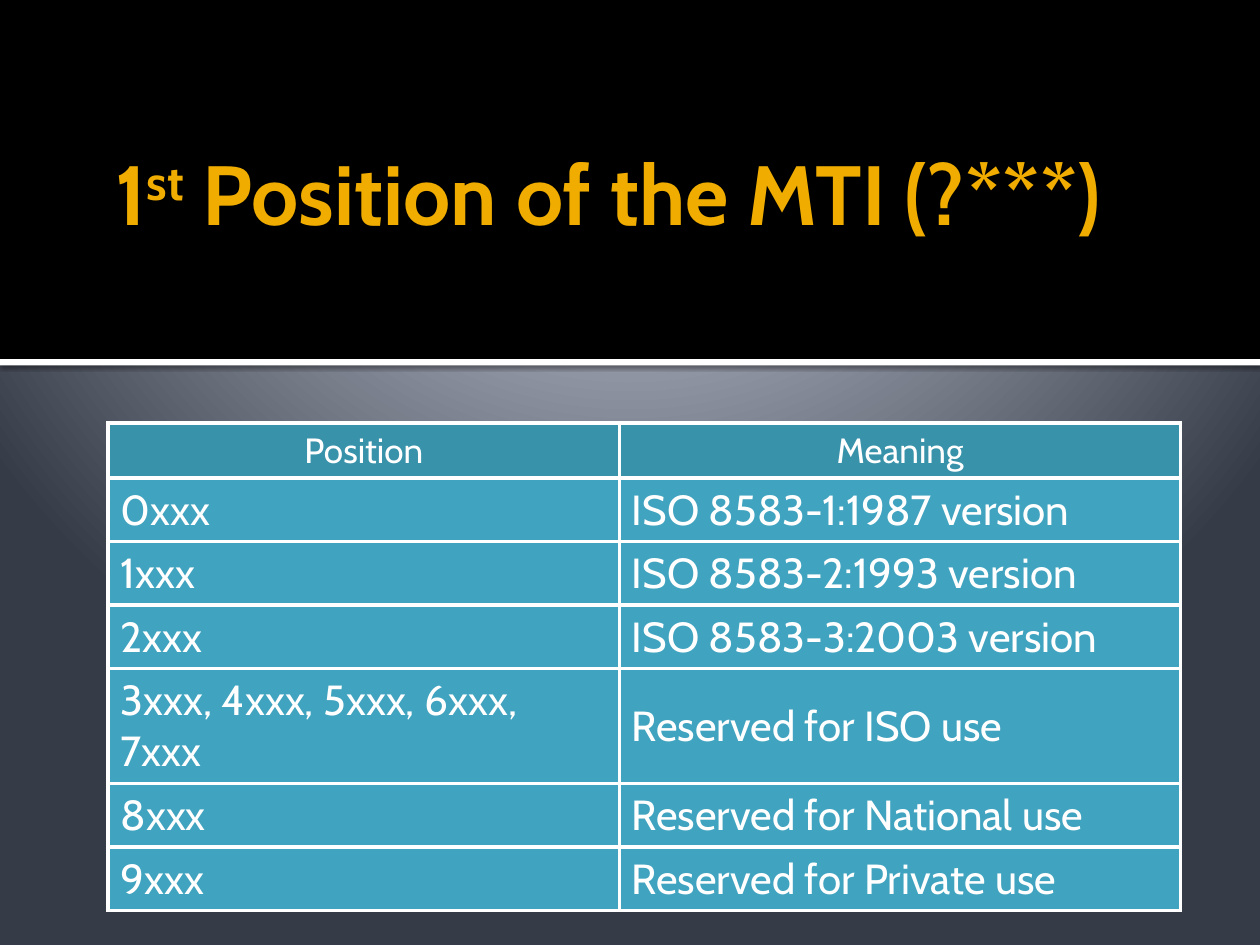
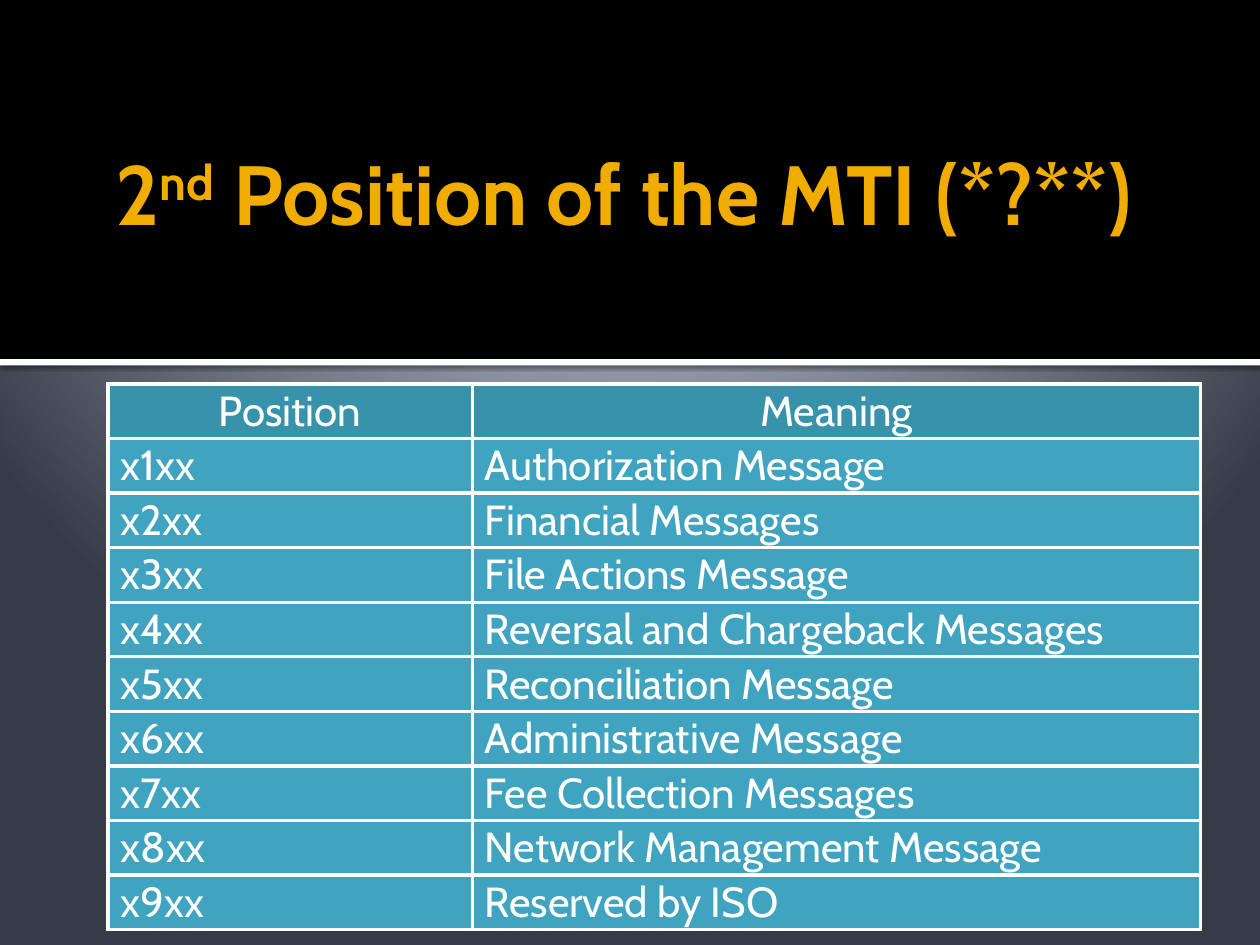
import pptx
import pptx.dml.color
import pptx.enum.shapes
import pptx.enum.text
import pptx.oxml
import pptx.oxml.ns
import pptx.util
from lxml import etree

Cm = pptx.util.Cm
Pt = pptx.util.Pt
RGBColor = pptx.dml.color.RGBColor
ANCHOR = pptx.enum.text.MSO_ANCHOR

FONT = "Cabin"
BLACK = RGBColor(0x00, 0x00, 0x00)
WHITE = RGBColor(0xFF, 0xFF, 0xFF)
GOLD = RGBColor(0xF0, 0xAD, 0x00)
HEADER_TEAL = RGBColor(0x37, 0x92, 0xAA)
BODY_TEAL = RGBColor(0x40, 0xA3, 0xBF)
GRADIENT = [
    (0, RGBColor(0xC1, 0xC5, 0xD3)),
    (12, RGBColor(0xC1, 0xC5, 0xD3)),
    (20, RGBColor(0xBF, 0xC4, 0xD2)),
    (100, RGBColor(0x35, 0x3B, 0x47)),
]
SLIDE_W, SLIDE_H = Cm(25.4), Cm(19.05)
BAND_H, RULE_H = Cm(7.24), Cm(0.13)
TABLE_LEFT = Cm(2.18)
HEADER = ("Position", "Meaning")

VERSIONS = [
    ("0xxx", "ISO 8583-1:1987 version"),
    ("1xxx", "ISO 8583-2:1993 version"),
    ("2xxx", "ISO 8583-3:2003 version"),
    ("3xxx, 4xxx, 5xxx, 6xxx, 7xxx", "Reserved for ISO use"),
    ("8xxx", "Reserved for National use"),
    ("9xxx", "Reserved for Private use"),
]
MESSAGE_CLASSES = [
    ("x1xx", "Authorization Message"),
    ("x2xx", "Financial Messages"),
    ("x3xx", "File Actions Message"),
    ("x4xx", "Reversal and Chargeback Messages"),
    ("x5xx", "Reconciliation Message"),
    ("x6xx", "Administrative Message"),
    ("x7xx", "Fee Collection Messages"),
    ("x8xx", "Network Management Message"),
    ("x9xx", "Reserved by ISO"),
]


def set_background(s):
    stops = "".join(
        f'<a:gs pos="{pos * 1000}"><a:srgbClr val="{color}"/></a:gs>'
        for pos, color in GRADIENT
    )
    bg = pptx.oxml.parse_xml(
        f'<p:bg {pptx.oxml.ns.nsdecls("p", "a")}><p:bgPr>'
        f'<a:gradFill rotWithShape="1"><a:gsLst>{stops}</a:gsLst>'
        '<a:path path="circle"><a:fillToRect l="10000" t="-25000" r="10000" b="125000"/>'
        "</a:path></a:gradFill><a:effectLst/></p:bgPr></p:bg>"
    )
    s._element.cSld.insert(0, bg)


def add_band(s, top, height, color):
    sp = s.shapes.add_shape(
        pptx.enum.shapes.MSO_SHAPE.RECTANGLE, 0, top, SLIDE_W, height
    )
    sp.fill.solid()
    sp.fill.fore_color.rgb = color
    sp.line.fill.background()
    sp.shadow.inherit = False
    return sp


def cast_shadow(sp):
    effects = sp._element.spPr.find(pptx.oxml.ns.qn("a:effectLst"))
    effects.append(pptx.oxml.parse_xml(
        f'<a:outerShdw {pptx.oxml.ns.nsdecls("a")} blurRad="{Pt(2.5)}" '
        f'dist="{Pt(0.8)}" dir="5400000" algn="t" rotWithShape="0">'
        f'<a:srgbClr val="{BLACK}"><a:alpha val="60000"/></a:srgbClr></a:outerShdw>'
    ))


def style_text(p, size, color, bold=False):
    p.font.name = FONT
    p.font.size = Pt(size)
    p.font.color.rgb = color
    p.font.bold = bold


def add_title(s, number, suffix, rest):
    tf = s.shapes.add_textbox(Cm(2.08), Cm(0.33), Cm(22.25), Cm(4.55)).text_frame
    tf.word_wrap = True
    tf.vertical_anchor = ANCHOR.BOTTOM
    tf.margin_top = tf.margin_bottom = 0
    p = tf.paragraphs[0]
    style_text(p, 48, GOLD, bold=True)
    for text in (number, suffix, rest):
        r = p.add_run()
        r.text = text
        if text == suffix:
            r.font._element.set("baseline", "30000")


def add_borders(cell):
    tc_pr = cell._tc.get_or_add_tcPr()
    for i, side in enumerate("LRTB"):
        ln = etree.Element(pptx.oxml.ns.qn(f"a:ln{side}"), w=str(Pt(2.25)))
        fill = etree.SubElement(ln, pptx.oxml.ns.qn("a:solidFill"))
        etree.SubElement(fill, pptx.oxml.ns.qn("a:srgbClr"), val=str(WHITE))
        tc_pr.insert(i, ln)


def fill_cell(cell, text, size, is_header, margin_v):
    cell.text = text
    cell.vertical_anchor = ANCHOR.MIDDLE
    cell.margin_left = cell.margin_right = Cm(0.25)
    cell.margin_top = cell.margin_bottom = margin_v
    cell.fill.solid()
    cell.fill.fore_color.rgb = HEADER_TEAL if is_header else BODY_TEAL
    p = cell.text_frame.paragraphs[0]
    style_text(p, size, WHITE)
    if is_header:
        p.alignment = pptx.enum.text.PP_ALIGN.CENTER
    add_borders(cell)


def add_position_table(s, rows, top, widths, heights, header_size, margin_v):
    table = s.shapes.add_table(
        len(rows) + 1, len(HEADER), TABLE_LEFT, top, sum(widths), sum(heights)
    ).table
    for column, width in zip(table.columns, widths):
        column.width = width
    for row, height in zip(table.rows, heights):
        row.height = height
    for i, texts in enumerate([HEADER, *rows]):
        size = header_size if i == 0 else 24
        for j, text in enumerate(texts):
            fill_cell(table.cell(i, j), text, size, i == 0, margin_v)


def add_position_slide(prs, number, suffix, rest):
    s = prs.slides.add_slide(prs.slide_layouts[6])
    set_background(s)
    add_band(s, 0, BAND_H, BLACK)
    cast_shadow(add_band(s, BAND_H, RULE_H, WHITE))
    add_title(s, number, suffix, rest)
    return s


def main():
    prs = pptx.Presentation()
    prs.slide_width, prs.slide_height = SLIDE_W, SLIDE_H

    s = add_position_slide(prs, "1", "st", " Position of the MTI (?***)")
    heights = [Cm(1.1)] + [Cm(1.28)] * len(VERSIONS)
    heights[4] = Cm(2.32)
    add_position_table(s, VERSIONS, Cm(8.53), [Cm(10.31), Cm(11.31)],
                       heights, 20, Cm(0.13))

    s = add_position_slide(prs, "2", "nd", " Position of the MTI (*?**)")
    heights = [Cm(1.1)] * (len(MESSAGE_CLASSES) + 1)
    add_position_table(s, MESSAGE_CLASSES, Cm(7.74), [Cm(7.34), Cm(14.68)],
                       heights, 24, Cm(0.03))

    prs.save("out.pptx")


if __name__ == "__main__":
    main()
